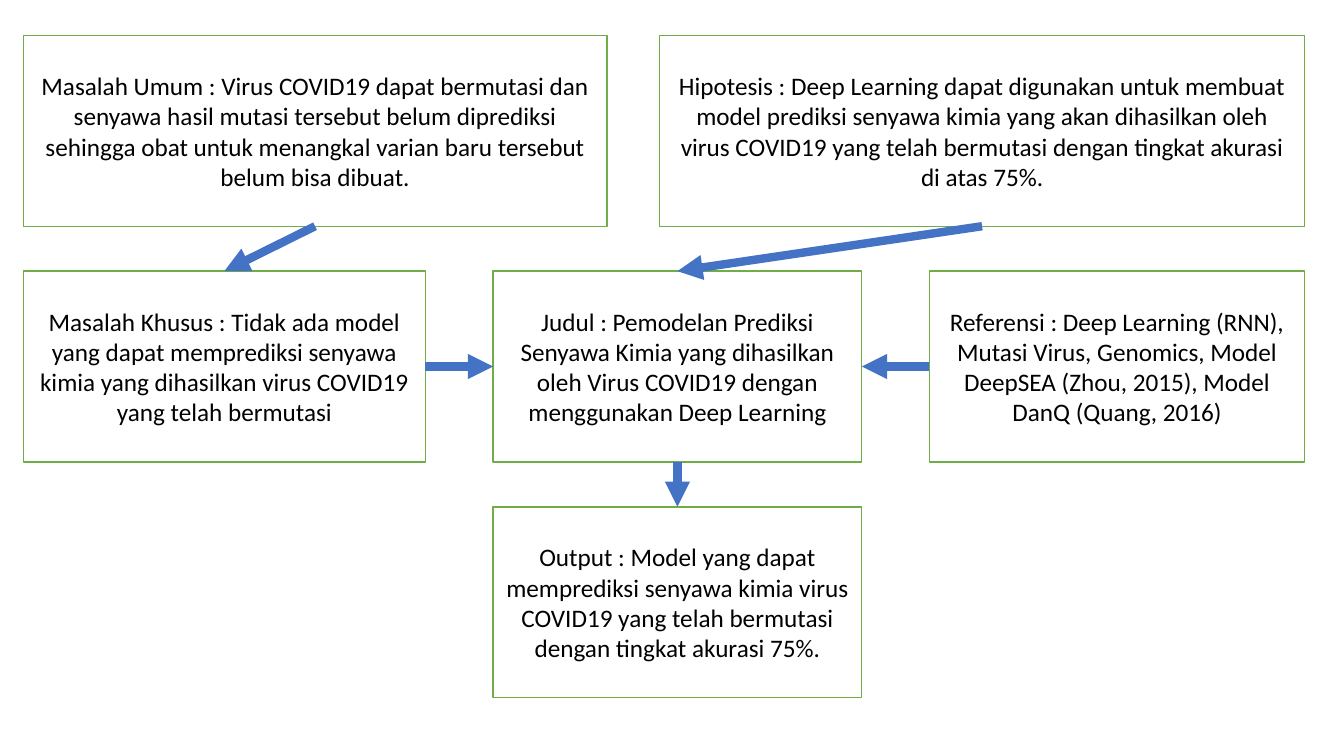
from lxml.etree import SubElement
from pptx import Presentation
from pptx.dml.color import RGBColor
from pptx.enum.shapes import MSO_CONNECTOR as Connector, MSO_SHAPE as Shape
from pptx.enum.text import MSO_ANCHOR as Anchor, PP_ALIGN as Align
from pptx.oxml.ns import qn
from pptx.util import Pt

WHITE = RGBColor(0xFF, 0xFF, 0xFF)
BLACK = RGBColor(0, 0, 0)
GREEN = RGBColor(0x70, 0xAD, 0x47)
BLUE = RGBColor(0x44, 0x72, 0xC4)

TOP, LEFT_EDGE, RIGHT_EDGE = 25.4, 16.6, 932
BOX_HEIGHT, ROW_PITCH = 136.2, 168.3
COLUMN_GAP = 48.3
GENERAL_WIDTH, HYPOTHESIS_WIDTH = 416.9, 461
SPECIFIC_WIDTH, CENTER_WIDTH = 287.3, 263.4
CENTER_LEFT = LEFT_EDGE + SPECIFIC_WIDTH + COLUMN_GAP
REFERENCE_LEFT = CENTER_LEFT + CENTER_WIDTH + COLUMN_GAP

TOP_SITE, LEFT_SITE, BOTTOM_SITE, RIGHT_SITE = range(4)


def write_text(frame, text, size=18, font="Calibri", color=BLACK, align=Align.CENTER):
    frame.word_wrap = True
    frame.vertical_anchor = Anchor.MIDDLE
    paragraph = frame.paragraphs[0]
    paragraph.alignment = align
    run = paragraph.add_run()
    run.text = text
    run.font.size = Pt(size)
    run.font.name = font
    run.font.color.rgb = color


def add_box(slide, row, left, width, text):
    box = slide.shapes.add_shape(
        Shape.RECTANGLE, Pt(left), Pt(TOP + row * ROW_PITCH), Pt(width), Pt(BOX_HEIGHT))
    box.shadow.inherit = False
    box.fill.solid()
    box.fill.fore_color.rgb = WHITE
    box.line.color.rgb = GREEN
    box.line.width = Pt(1)
    write_text(box.text_frame, text)
    return box


def add_arrow(slide, source, source_site, target, target_site):
    arrow = slide.shapes.add_connector(Connector.STRAIGHT, 0, 0, 0, 0)
    arrow.begin_connect(source, source_site)
    arrow.end_connect(target, target_site)
    arrow.line.color.rgb = BLUE
    arrow.line.width = Pt(6)
    properties = arrow.element.spPr
    SubElement(properties.find(qn("a:ln")), qn("a:tailEnd"), type="triangle")
    SubElement(properties, qn("a:effectLst"))


def main():
    deck = Presentation()
    deck.slide_width, deck.slide_height = Pt(960), Pt(540)
    slide = deck.slides.add_slide(deck.slide_layouts[6])

    specific_problem = add_box(
        slide, 1, LEFT_EDGE, SPECIFIC_WIDTH,
        "Masalah Khusus : Tidak ada model yang dapat memprediksi senyawa kimia "
        "yang dihasilkan virus COVID19 yang telah bermutasi")
    hypothesis = add_box(
        slide, 0, RIGHT_EDGE - HYPOTHESIS_WIDTH, HYPOTHESIS_WIDTH,
        "Hipotesis : Deep Learning dapat digunakan untuk membuat model prediksi "
        "senyawa kimia yang akan dihasilkan oleh virus COVID19 yang telah "
        "bermutasi dengan tingkat akurasi di atas 75%.")
    references = add_box(
        slide, 1, REFERENCE_LEFT, RIGHT_EDGE - REFERENCE_LEFT,
        "Referensi : Deep Learning (RNN), Mutasi Virus, Genomics, "
        "Model DeepSEA (Zhou, 2015), Model DanQ (Quang, 2016)")
    output = add_box(
        slide, 2, CENTER_LEFT, CENTER_WIDTH,
        "Output : Model yang dapat memprediksi senyawa kimia virus COVID19 "
        "yang telah bermutasi dengan tingkat akurasi 75%.")
    general_problem = add_box(
        slide, 0, LEFT_EDGE, GENERAL_WIDTH,
        "Masalah Umum : Virus COVID19 dapat bermutasi dan senyawa hasil mutasi "
        "tersebut belum diprediksi sehingga obat untuk menangkal varian baru "
        "tersebut belum bisa dibuat.")
    research_title = add_box(
        slide, 1, CENTER_LEFT, CENTER_WIDTH,
        "Judul : Pemodelan Prediksi Senyawa Kimia yang dihasilkan oleh Virus "
        "COVID19 dengan menggunakan Deep Learning")

    add_arrow(slide, general_problem, BOTTOM_SITE, specific_problem, TOP_SITE)
    add_arrow(slide, specific_problem, RIGHT_SITE, research_title, LEFT_SITE)
    add_arrow(slide, hypothesis, BOTTOM_SITE, research_title, TOP_SITE)
    add_arrow(slide, references, LEFT_SITE, research_title, RIGHT_SITE)
    add_arrow(slide, research_title, BOTTOM_SITE, output, TOP_SITE)

    deck.save("out.pptx")


main()
